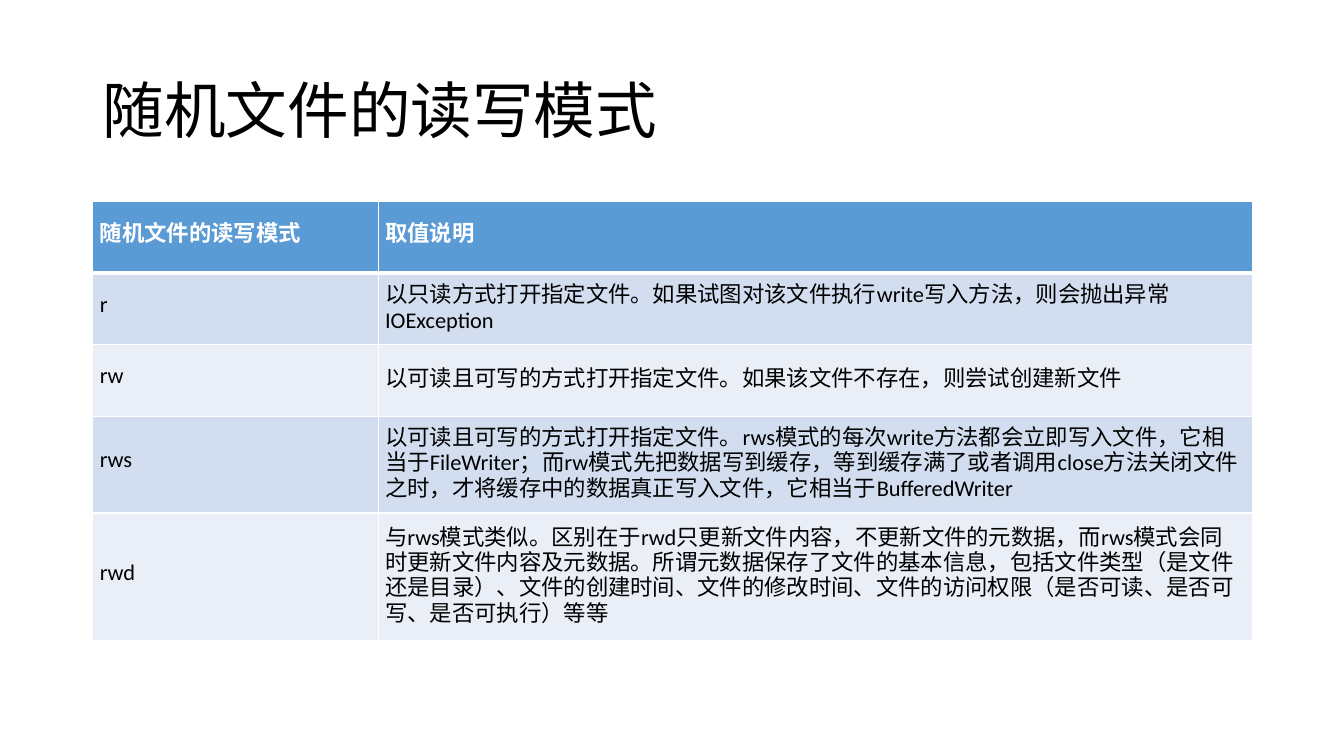
from dataclasses import dataclass

from lxml import etree
from pptx import Presentation
from pptx import util as u
from pptx.dml.color import RGBColor
from pptx.enum import lang, text
from pptx.oxml.ns import qn


@dataclass(frozen=True)
class Theme:
    font: str = "Calibri"
    ink: str = "000000"
    paper: str = "FFFFFF"
    header: str = "5B9BD5"
    bands: tuple = ("D2DEEF", "EAEFF7")
    title_size: int = 44
    body_size: int = 16
    rule: int = 1
    header_rule: int = 3


def write(frame, words, *, font, size, color, bold=False, spacing=1.0, align=None):
    frame.word_wrap = True
    frame.vertical_anchor = text.MSO_ANCHOR.MIDDLE
    paragraph = frame.paragraphs[0]
    paragraph.line_spacing = spacing
    paragraph.alignment = align
    run = paragraph.add_run()
    run.text = words
    run.font.name = font
    run.font.size = u.Pt(size)
    run.font.bold = bold
    run.font.color.rgb = RGBColor.from_string(color)
    run.font.language_id = lang.MSO_LANGUAGE_ID.SIMPLIFIED_CHINESE


class Page:
    def __init__(self, slide, theme):
        self.slide = slide
        self.theme = theme

    def title(self, words, left, top, width, height):
        box = self.slide.shapes.add_textbox(
            u.Inches(left), u.Inches(top), u.Inches(width), u.Inches(height))
        write(box.text_frame, words, font=self.theme.font,
              size=self.theme.title_size, color=self.theme.ink, spacing=0.9)

    def borders(self, cell, **widths):
        properties = cell._tc.get_or_add_tcPr()
        for place, side in enumerate("LRTB"):
            points = widths.get(side, self.theme.rule)
            line = etree.Element(qn(f"a:ln{side}"), w=str(u.Pt(points)))
            fill = etree.SubElement(line, qn("a:solidFill"))
            etree.SubElement(fill, qn("a:srgbClr"), val=self.theme.paper)
            properties.insert(place, line)

    def cell(self, cell, words, fill, **style):
        cell.margin_left = cell.margin_right = u.Inches(0.07)
        cell.margin_top = cell.margin_bottom = 0
        cell.vertical_anchor = text.MSO_ANCHOR.MIDDLE
        cell.fill.solid()
        cell.fill.fore_color.rgb = RGBColor.from_string(fill)
        write(cell.text_frame, words, font=self.theme.font,
              size=self.theme.body_size, **style)

    def table(self, rows, left, top, widths, heights):
        theme = self.theme
        grid = self.slide.shapes.add_table(
            len(rows), len(widths), u.Inches(left), u.Inches(top),
            u.Inches(sum(widths)), u.Inches(sum(heights))).table
        for column, width in zip(grid.columns, widths):
            column.width = u.Inches(width)
        for index, (row, height) in enumerate(zip(rows, heights)):
            grid.rows[index].height = u.Inches(height)
            for column, words in enumerate(row):
                cell = grid.cell(index, column)
                if index == 0:
                    self.cell(cell, words, theme.header, color=theme.paper, bold=True,
                              spacing=u.Pt(15.6), align=text.PP_ALIGN.JUSTIFY)
                    self.borders(cell, B=theme.header_rule)
                else:
                    self.cell(cell, words, theme.bands[(index - 1) % 2],
                              color=theme.ink, spacing=u.Pt((13, 18)[column]))
                    self.borders(cell, T=theme.header_rule if index == 1 else theme.rule)


HEADING = "随机文件的读写模式"
MODES = [
    (HEADING, "取值说明"),
    ("r", "以只读方式打开指定文件。如果试图对该文件执行write写入方法，则会抛出异常IOException"),
    ("rw", "以可读且可写的方式打开指定文件。如果该文件不存在，则尝试创建新文件"),
    ("rws", "以可读且可写的方式打开指定文件。rws模式的每次write方法都会立即写入文件，"
            "它相当于FileWriter；而rw模式先把数据写到缓存，等到缓存满了或者调用close方法"
            "关闭文件之时，才将缓存中的数据真正写入文件，它相当于BufferedWriter"),
    ("rwd", "与rws模式类似。区别在于rwd只更新文件内容，不更新文件的元数据，而rws模式会"
            "同时更新文件内容及元数据。所谓元数据保存了文件的基本信息，包括文件类型"
            "（是文件还是目录）、文件的创建时间、文件的修改时间、文件的访问权限"
            "（是否可读、是否可写、是否可执行）等等"),
]

deck = Presentation()
deck.slide_width = u.Inches(13.33)
deck.slide_height = u.Inches(7.5)
page = Page(deck.slides.add_slide(deck.slide_layouts[6]), Theme())
page.title(HEADING, 0.92, 0.4, 11.5, 1.45)
page.table(MODES, 0.92, 2, widths=(2.83, 8.67), heights=(0.71, 0.71, 0.71, 0.96, 1.27))
deck.save("out.pptx")
